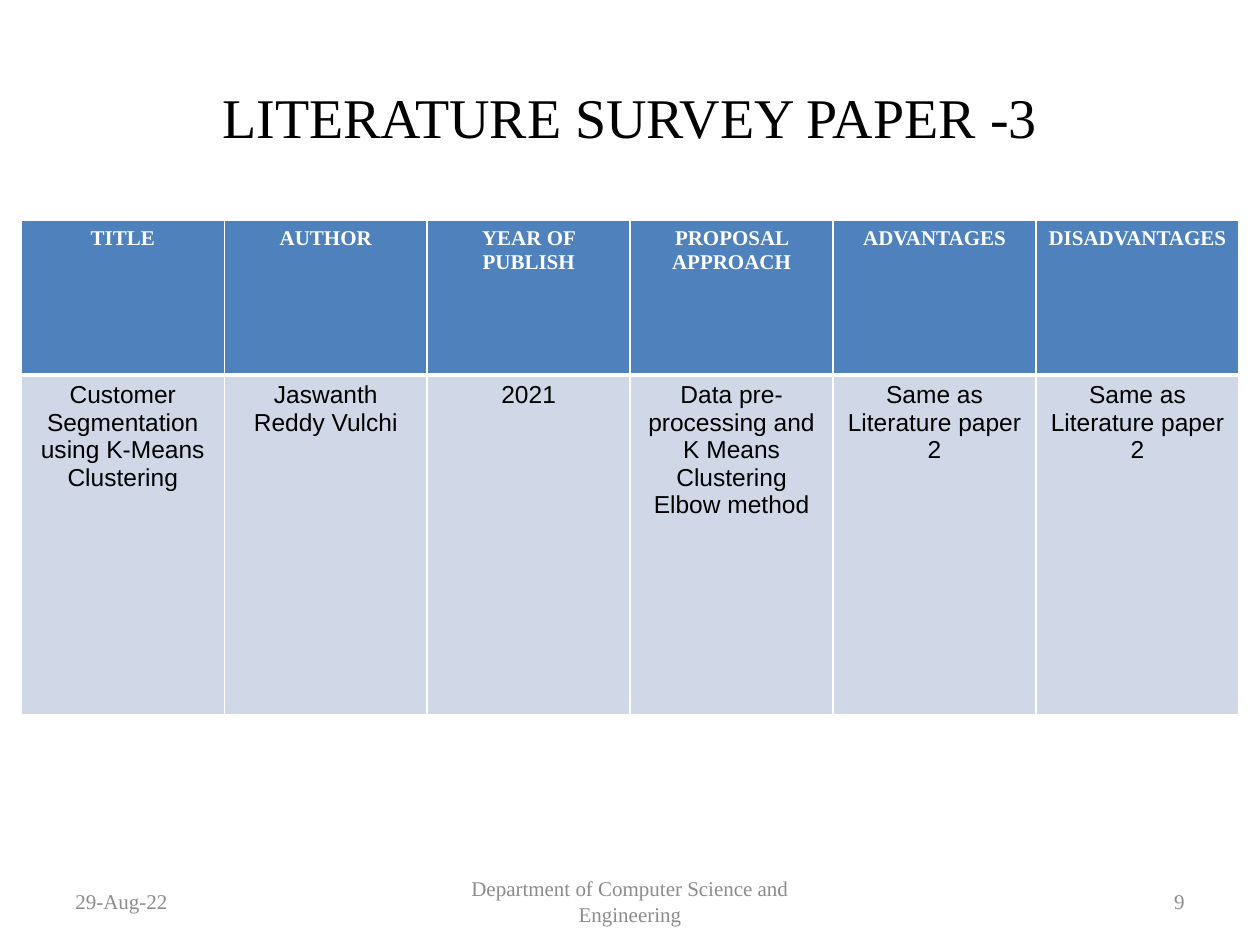
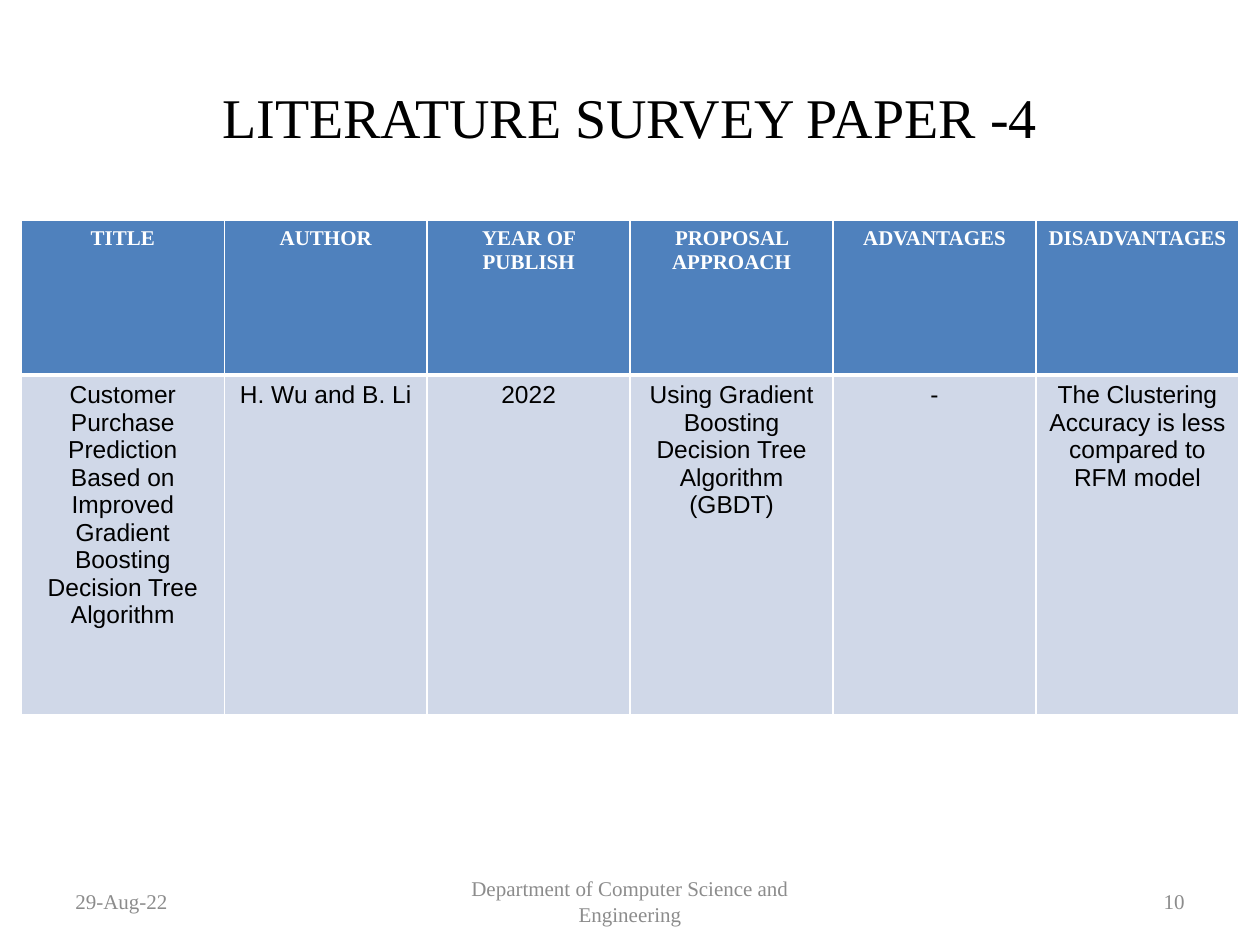
from lxml import etree
from pptx import Presentation
from pptx.dml.color import RGBColor
from pptx.enum.text import MSO_ANCHOR, PP_ALIGN
from pptx.oxml.ns import qn
from pptx.util import Cm, Pt

LEFT, CENTER, RIGHT = PP_ALIGN.LEFT, PP_ALIGN.CENTER, PP_ALIGN.RIGHT
MIDDLE = MSO_ANCHOR.MIDDLE

WHITE, BLACK, GREY = "FFFFFF", "000000", "8C8C8C"
HEADER_FILL, BODY_FILL = "4F81BD", "D0D8E8"
SERIF, SANS = "Times New Roman", "Arial"

STYLES = {
    "title": ({"name": SERIF, "size": Pt(32), "bold": False}, BLACK),
    "footer": ({"name": SERIF, "size": Pt(12), "bold": False}, GREY),
    "header": ({"name": SERIF, "size": Pt(12), "bold": True}, WHITE),
    "body": ({"name": SANS, "size": Pt(14), "bold": False}, BLACK),
}

DATE = "29-Aug-22"
DEPARTMENT = "Department of Computer Science and Engineering"
HEADERS = ["TITLE", "AUTHOR", "YEAR OF PUBLISH", "PROPOSAL APPROACH",
           "ADVANTAGES", "DISADVANTAGES"]
PAPERS = [
    (9, "LITERATURE SURVEY PAPER -3",
     ["Customer Segmentation using K-Means Clustering",
      "Jaswanth Reddy Vulchi",
      "2021",
      "Data pre-processing and K Means Clustering\nElbow method",
      "Same as Literature paper 2",
      "Same as Literature paper 2"]),
    (10, "LITERATURE SURVEY PAPER -4",
     ["Customer Purchase Prediction Based on Improved Gradient Boosting "
      "Decision Tree Algorithm",
      "H. Wu and B. Li",
      "2022",
      "Using Gradient Boosting Decision Tree Algorithm (GBDT)",
      "-",
      "The Clustering Accuracy is less compared to RFM model"]),
]


def color(value):
    return RGBColor.from_string(value)


class Deck:
    """Holds the shared style and the slide being built."""

    def __init__(self):
        self.prs = Presentation()
        self.prs.slide_width, self.prs.slide_height = Cm(25.4), Cm(19.05)
        self.s = None

    def slide(self):
        self.s = self.prs.slides.add_slide(self.prs.slide_layouts[6])

    def put_text(self, tf, text, style, align):
        fmt, ink = STYLES[style]
        tf.text = text
        for p in tf.paragraphs:
            p.alignment = align
            for r in p.runs:
                for key, value in fmt.items():
                    setattr(r.font, key, value)
                r.font.color.rgb = color(ink)

    def text(self, text, style, align, left, top, width, height):
        sp = self.s.shapes.add_textbox(Cm(left), Cm(top), Cm(width), Cm(height))
        tf = sp.text_frame
        tf.word_wrap = True
        tf.vertical_anchor = MIDDLE
        self.put_text(tf, text, style, align)

    def title(self, text):
        self.text(text, "title", CENTER, 1.27, 0.76, 22.86, 3.18)

    def footer(self, number):
        for text, align, left, width in [(DATE, LEFT, 1.27, 5.93),
                                         (DEPARTMENT, CENTER, 8.68, 8.04),
                                         (str(number), RIGHT, 18.2, 5.93)]:
            self.text(text, "footer", align, left, 17.66, width, 1.01)

    def borders(self, cell, **widths):
        tc_pr = cell._tc.get_or_add_tcPr()
        for side in "LRTB":
            ln = etree.SubElement(tc_pr, qn(f"a:ln{side}"),
                                  w=str(Pt(widths.get(side, 1))))
            fill = etree.SubElement(ln, qn("a:solidFill"))
            etree.SubElement(fill, qn("a:srgbClr"), val=WHITE)

    def table(self, values):
        rows = [(HEADERS, "header", HEADER_FILL, 3.11, {"B": 3}),
                (values, "body", BODY_FILL, 6.84, {"T": 3})]
        width = 24.55
        table = self.s.shapes.add_table(
            len(rows), len(HEADERS), Cm(0.43), Cm(4.45), Cm(width),
            Cm(sum(row[3] for row in rows))).table
        for col in table.columns:
            col.width = Cm(width / len(HEADERS))
        for row, (texts, style, fill, height, edges) in zip(table.rows, rows):
            row.height = Cm(height)
            for cell, text in zip(row.cells, texts):
                self.borders(cell, **edges)
                cell.fill.solid()
                cell.fill.fore_color.rgb = color(fill)
                self.put_text(cell.text_frame, text, style, CENTER)


def main():
    deck = Deck()
    for number, title, values in PAPERS:
        deck.slide()
        deck.title(title)
        deck.footer(number)
        deck.table(values)
    deck.prs.save("out.pptx")


if __name__ == "__main__":
    main()
